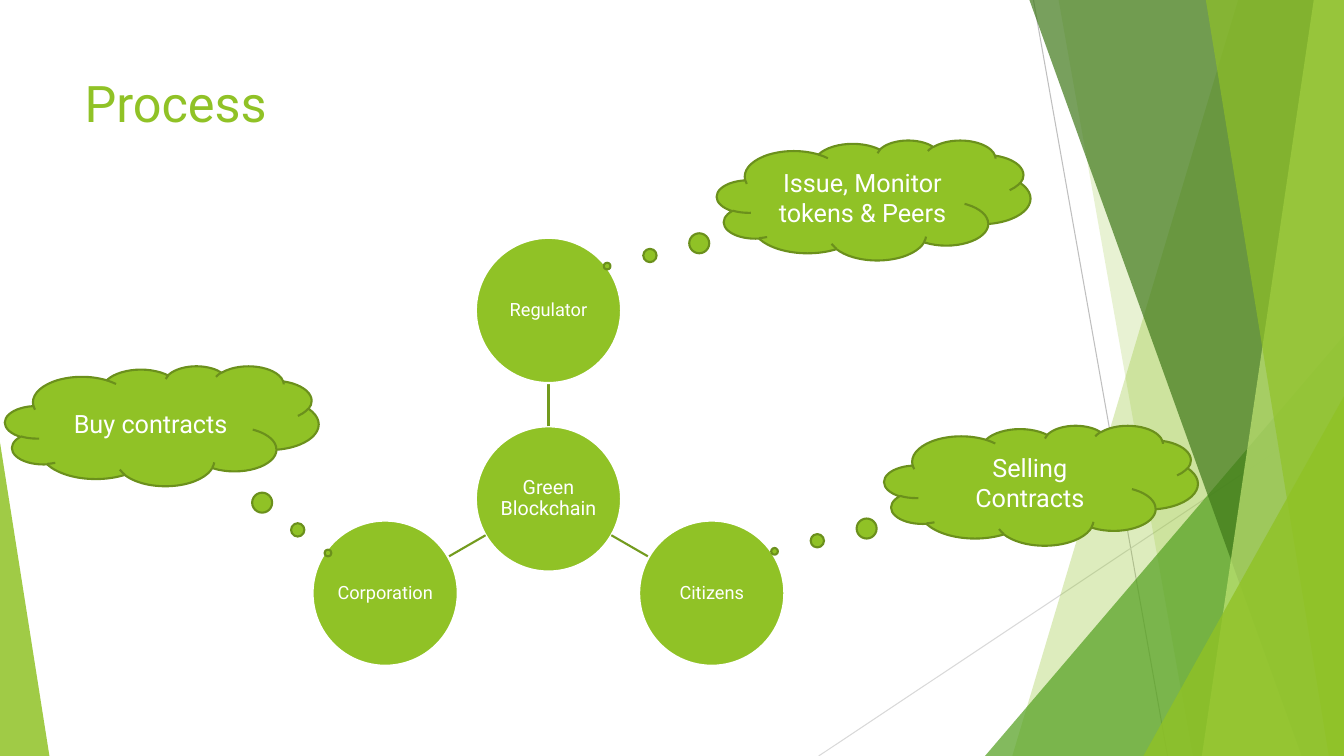
"""Build the Process slide: a blockchain hub, its three parties and their roles."""
from math import cos, radians, sin

from lxml import etree
from pptx import Presentation
from pptx.dml.color import RGBColor
from pptx.enum.shapes import MSO_CONNECTOR, MSO_SHAPE
from pptx.enum.text import MSO_ANCHOR, PP_ALIGN
from pptx.oxml.ns import qn
from pptx.util import Inches, Pt

WIDTH, HEIGHT = 13.33, 7.5
GREEN, WHITE = "90C226", "FFFFFF"

deck = Presentation()
deck.slide_width, deck.slide_height = Inches(WIDTH), Inches(HEIGHT)
slide = deck.slides.add_slide(deck.slide_layouts[6])
shapes = slide.shapes


def rgb(hex_code):
    return RGBColor.from_string(hex_code)


def add_line(start, end, colour, weight):
    line = shapes.add_connector(MSO_CONNECTOR.STRAIGHT, *map(Inches, start + end))
    line.line.color.rgb = rgb(colour)
    line.line.width = Pt(weight)
    etree.SubElement(line._element.spPr, qn("a:effectLst"))


add_line((10.25, 0), (11.58, HEIGHT), "BFBFBF", 0.75)
add_line((WIDTH, 4.03), (8.12, HEIGHT), "D9D9D9", 0.75)

facets = [
    ("panel", (12.28, 10.04), GREEN, 30),
    ("panel", (10.5, 11.83), GREEN, 20),
    ("triangle", (9.77, 3.33, 3.56, 1), "54A021", 72),
    ("panel", (10.21, 12.91), "3F7819", 70),
    ("panel", (13.03, 11.92), "C0E474", 70),
    ("panel", (11.96, 13.18), GREEN, 65),
    ("triangle", (11.34, 3.93, 1.99, 1), GREEN, 80),
    ("triangle", (0, 4.39, 0.49, 0), GREEN, 85),
]
for kind, geometry, colour, opacity in facets:
    if kind == "panel":
        top_x, bottom_x = geometry
        outline = shapes.build_freeform(Inches(top_x), 0)
        corners = [(WIDTH, 0), (WIDTH, HEIGHT), (bottom_x, HEIGHT)]
        outline.add_line_segments([(Inches(x), Inches(y)) for x, y in corners])
        facet = outline.convert_to_shape()
    else:
        left, top, width, apex = geometry
        facet = shapes.add_shape(MSO_SHAPE.ISOSCELES_TRIANGLE, Inches(left), Inches(top),
                                 Inches(width), Inches(HEIGHT - top))
        facet.adjustments[0] = apex
    facet.shadow.inherit = False
    facet.line.fill.background()
    facet.fill.solid()
    facet.fill.fore_color.rgb = rgb(colour)
    tint = facet._element.spPr.find(".//" + qn("a:srgbClr"))
    etree.SubElement(tint, qn("a:alpha"), val=str(opacity * 1000))

title = shapes.add_textbox(Inches(0.74), Inches(0.67), Inches(9.4), Inches(1.44))
title.text_frame.word_wrap = True
heading = title.text_frame.paragraphs[0]
heading.text = "Process"
heading.font.name, heading.font.size = "Roboto", Pt(36)
heading.font.color.rgb = rgb(GREEN)


def add_bubble(preset, box, text, size, outline):
    bubble = shapes.add_shape(preset, *map(Inches, box))
    bubble.shadow.inherit = False
    bubble.fill.solid()
    bubble.fill.fore_color.rgb = rgb(GREEN)
    bubble.line.color.rgb = rgb(outline)
    bubble.line.width = Pt(1.5)
    frame = bubble.text_frame
    frame.word_wrap = True
    frame.vertical_anchor = MSO_ANCHOR.MIDDLE
    label = frame.paragraphs[0]
    label.text = text
    label.alignment = PP_ALIGN.CENTER
    label.font.name, label.font.size = "Roboto", Pt(size)
    label.font.color.rgb = rgb(WHITE)
    return bubble


hub_x, hub_y = 5.44, 4.95
diameter, orbit = 1.44, 1.87
spoke_start, spoke_end = 0.72, 1.15
parties = [("Green Blockchain", 14, 0, 0), ("Regulator", 13, orbit, -90),
           ("Citizens", 13, orbit, 30), ("Corporation", 13, orbit, 150)]
for name, size, distance, angle in parties:
    dx, dy = cos(radians(angle)), sin(radians(angle))
    if distance:
        add_line((hub_x + spoke_start * dx, hub_y + spoke_start * dy),
                 (hub_x + spoke_end * dx, hub_y + spoke_end * dy), "739B1E", 1.5)
    box = (hub_x + distance * dx - diameter / 2, hub_y + distance * dy - diameter / 2,
           diameter, diameter)
    party_frame = add_bubble(MSO_SHAPE.OVAL, box, name, size, WHITE).text_frame
    party_frame.margin_left = party_frame.margin_right = Inches(0.01)
    party_frame.margin_top = party_frame.margin_bottom = Inches(0.01)
    party_frame.paragraphs[0].line_spacing = 0.9

roles = [("Issue, Monitor tokens & Peers", 7.11, 1.39, (-0.85, 0.55)),
         ("Selling Contracts", 8.77, 4.22, (-0.85, 0.55)),
         ("Buy contracts", 0.05, 3.63, (0.53, 1.06))]
for role, left, top, tail in roles:
    cloud = add_bubble(MSO_SHAPE.CLOUD_CALLOUT, (left, top, 3.11, 1.19), role, 18, "6B901C")
    cloud.adjustments[0], cloud.adjustments[1] = tail

deck.save("out.pptx")
